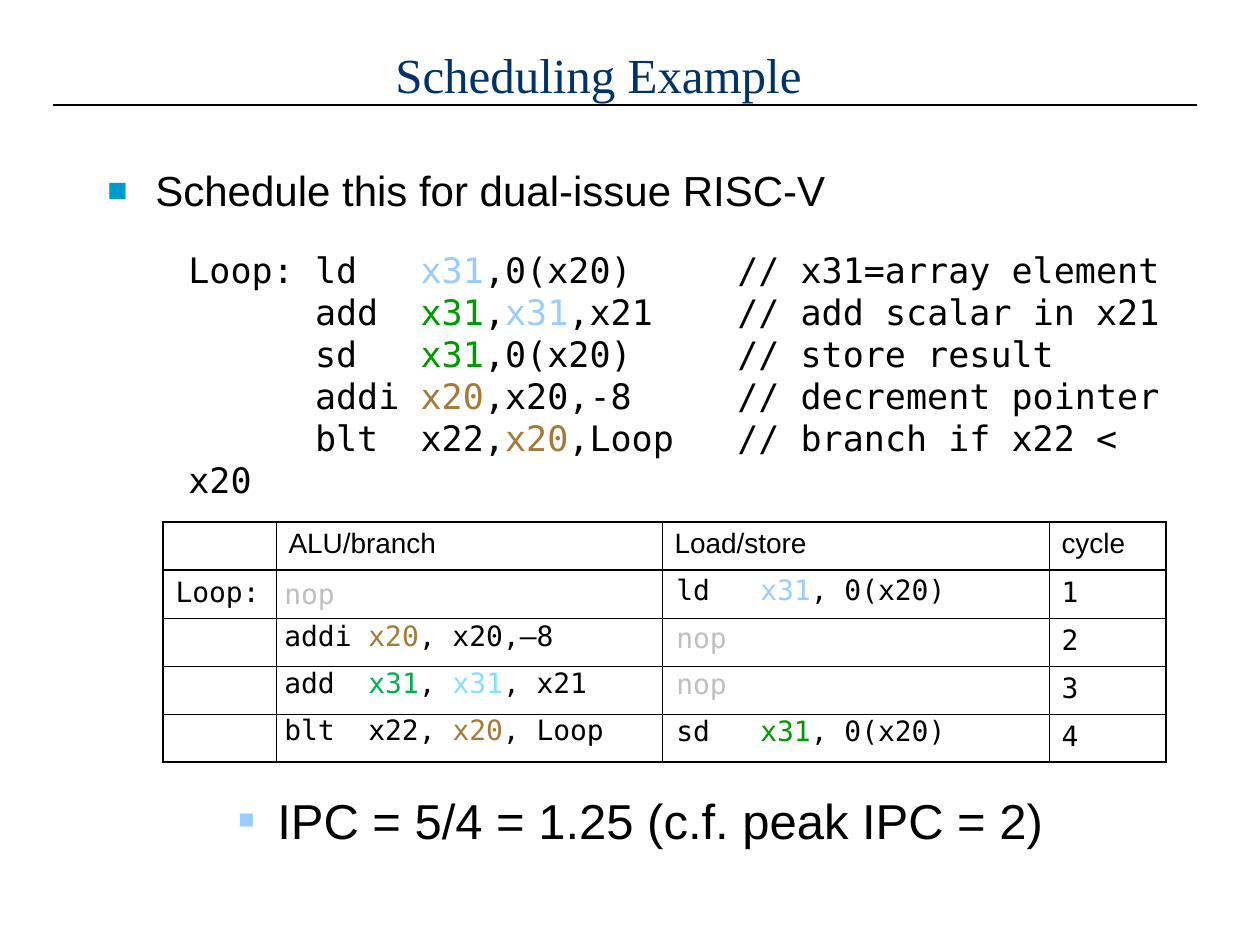
from lxml import etree
from pptx import Presentation
from pptx.dml.color import RGBColor
from pptx.enum.shapes import MSO_CONNECTOR
from pptx.enum.text import MSO_ANCHOR, PP_ALIGN
from pptx.oxml.ns import qn
from pptx.util import Emu, Pt

STRAIGHT = MSO_CONNECTOR.STRAIGHT
MIDDLE = MSO_ANCHOR.MIDDLE
CENTER = PP_ALIGN.CENTER
BLACK = RGBColor(0x00, 0x00, 0x00)
NAVY = RGBColor(0x00, 0x33, 0x66)
TEAL = RGBColor(0x00, 0x99, 0xCC)
SKY = RGBColor(0x99, 0xCC, 0xFF)
CYAN = RGBColor(0x85, 0xE0, 0xFF)
GREEN = RGBColor(0x00, 0x99, 0x00)
EMERALD = RGBColor(0x00, 0xB0, 0x50)
BROWN = RGBColor(0xA4, 0x7B, 0x38)
GRAY = RGBColor(0xC0, 0xC0, 0xC0)
SANS, SERIF, MONO = "Arial", "Times New Roman", "DejaVu Sans Mono"
OUTER, HEADER, INNER = 1.08, 0.75, 0.45

CODE = [
    [("Loop: ld   ", BLACK), ("x31", SKY), (",0(x20)     // x31=array element", BLACK)],
    [("      add  ", BLACK), ("x31", GREEN), (",", BLACK), ("x31", SKY),
     (",x21    // add scalar in x21", BLACK)],
    [("      sd   ", BLACK), ("x31", GREEN), (",0(x20)     // store result", BLACK)],
    [("      addi ", BLACK), ("x20", BROWN), (",x20,-8     // decrement pointer", BLACK)],
    [("      blt  x22,", BLACK), ("x20", BROWN),
     (",Loop   // branch if x22 < x20", BLACK)],
]
NOP = [("nop", GRAY)]
ROWS = [
    ("", "ALU/branch", "Load/store", "cycle"),
    ("Loop:", "", "", "1"),
    ("", "", "", "2"),
    ("", "", "", "3"),
    ("", "", "", "4"),
]
ALU = [
    (48, 407, NOP),
    (90, 407, [("addi ", BLACK), ("x20", BROWN), (", x20,–8", BLACK)]),
    (137, 407, [("add  ", BLACK), ("x31", EMERALD), (", ", BLACK), ("x31", CYAN),
                (", x21", BLACK)]),
    (184, 504, [("blt  x22, ", BLACK), ("x20", BROWN), (", Loop", BLACK)]),
]
LOAD_STORE = [
    (44, 407, [("ld   ", BLACK), ("x31", SKY), (", 0(x20)", BLACK)]),
    (92, 407, NOP),
    (138, 407, NOP),
    (185, 504, [("sd   ", BLACK), ("x31", GREEN), (", 0(x20)", BLACK)]),
]


def px(n):
    """Turn pixels into EMU."""
    return Emu(round(n * 914400 / 126))


def add_runs(p, runs, size, font):
    """Add coloured runs to a paragraph."""
    for text, color in runs:
        r = p.add_run()
        r.text = text
        r.font.size = Pt(size)
        r.font.name = font
        r.font.color.rgb = color


def add_text(s, box, runs, size, font, wrap=True):
    """Place a text box and return its text frame."""
    tf = s.shapes.add_textbox(*map(px, box)).text_frame
    tf.word_wrap = wrap
    add_runs(tf.paragraphs[0], runs, size, font)
    return tf


def add_title(s, box, text):
    """Place the centred title over its rule."""
    x, y, w, h = box
    rule_y = px(y + 84)
    rule = s.shapes.add_connector(STRAIGHT, px(x - 10), rule_y, px(x + 1134), rule_y)
    rule.line.color.rgb = BLACK
    rule.line.width = Pt(0.75)
    etree.SubElement(rule._element.spPr, qn("a:effectLst"))
    tf = add_text(s, box, [(text, NAVY)], 28, SERIF)
    tf.vertical_anchor = MIDDLE
    tf.paragraphs[0].alignment = CENTER


def add_bullet(s, box, text, size, color, percent, margin, hang, level=0):
    """Place one line of text with a square bullet."""
    p = add_text(s, box, [(text, BLACK)], size, SANS).paragraphs[0]
    p.level = level
    pPr = p._p.get_or_add_pPr()
    pPr.set("marL", str(px(margin)))
    pPr.set("indent", str(px(-hang)))
    clr = etree.SubElement(pPr, qn("a:buClr"))
    etree.SubElement(clr, qn("a:srgbClr"), val=str(color))
    etree.SubElement(pPr, qn("a:buSzPct"), val=str(percent * 1000))
    etree.SubElement(pPr, qn("a:buFont"), typeface=SANS)
    etree.SubElement(pPr, qn("a:buChar"), char="■")


def add_code(s, box, lines):
    """Place the code listing with its line breaks."""
    p = add_text(s, box, lines[0], 20, MONO, wrap=False).paragraphs[0]
    for line in lines[1:]:
        p.add_line_break()
        add_runs(p, line, 20, MONO)


def set_borders(cell, widths):
    """Draw the left, right, top and bottom borders of a cell."""
    tcPr = cell._tc.get_or_add_tcPr()
    for i, (side, width) in enumerate(zip("LRTB", widths)):
        ln = etree.Element(qn(f"a:ln{side}"), w=str(Pt(width)))
        fill = etree.SubElement(ln, qn("a:solidFill"))
        etree.SubElement(fill, qn("a:srgbClr"), val=str(BLACK))
        tcPr.insert(i, ln)


def add_schedule(s, box, rows, col_widths):
    """Place the schedule table and the instructions over its cells."""
    x, y, w, h = box
    last_row, last_col = len(rows) - 1, len(col_widths) - 1
    table = s.shapes.add_table(len(rows), len(col_widths), *map(px, box)).table
    table.first_row = table.horz_banding = False
    for column, width in zip(table.columns, col_widths):
        column.width = px(width)
    h_lines = [OUTER, HEADER] + [INNER] * (last_row - 1) + [OUTER]
    v_lines = [OUTER] + [INNER] * last_col + [OUTER]
    for i, row in enumerate(rows):
        table.rows[i].height = px(h // len(rows))
        for j, text in enumerate(row):
            cell = table.cell(i, j)
            cell.fill.background()
            set_borders(cell, (*v_lines[j:j + 2], *h_lines[i:i + 2]))
            if text:
                font = MONO if j == 0 else SANS
                if i and j == last_col:
                    font = MONO
                add_runs(cell.text_frame.paragraphs[0], [(text, BLACK)], 16, font)
            else:
                cell.margin_top = cell.margin_bottom = 0
    for left, instructions in ((109, ALU), (501, LOAD_STORE)):
        for top, width, runs in instructions:
            add_text(s, (x + left, y + top, width, 46), runs, 16, MONO)


def main():
    """Build the slide and save it."""
    prs = Presentation()
    prs.slide_width, prs.slide_height = px(1260), px(945)
    s = prs.slides.add_slide(prs.slide_layouts[6])
    add_title(s, (63, 21, 1071, 105), "Scheduling Example")
    add_bullet(s, (95, 158, 1139, 96), "Schedule this for dual-issue RISC-V",
               24, TEAL, 80, 48, 48)
    add_schedule(s, (163, 522, 1003, 240), ROWS, (113, 386, 387, 117))
    add_bullet(s, (163, 784, 1071, 89), "IPC = 5/4 = 1.25 (c.f. peak IPC = 2)",
               28, SKY, 55, 102, 39, level=1)
    add_code(s, (176, 242, 1038, 223), CODE)
    prs.save("out.pptx")


if __name__ == "__main__":
    main()
